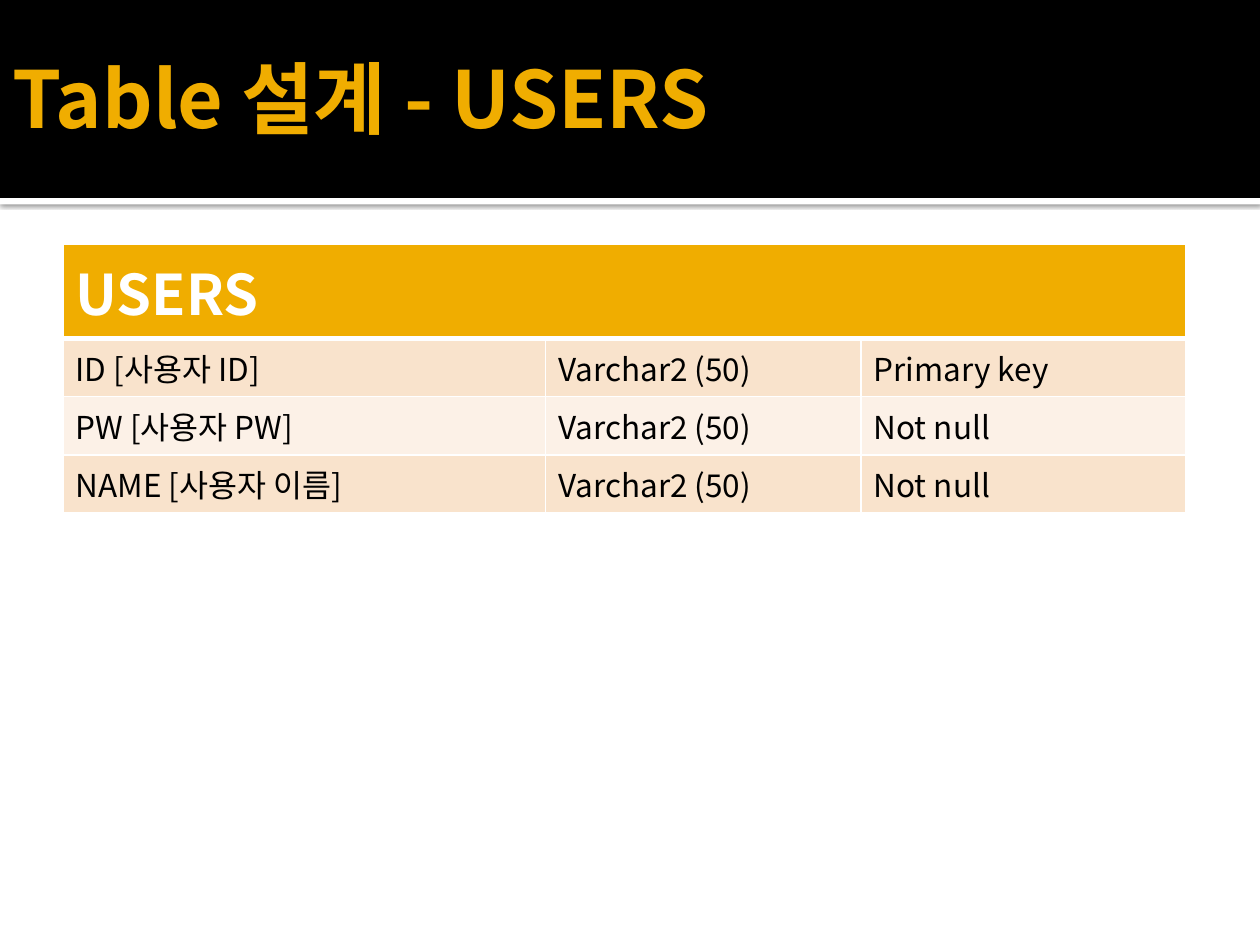
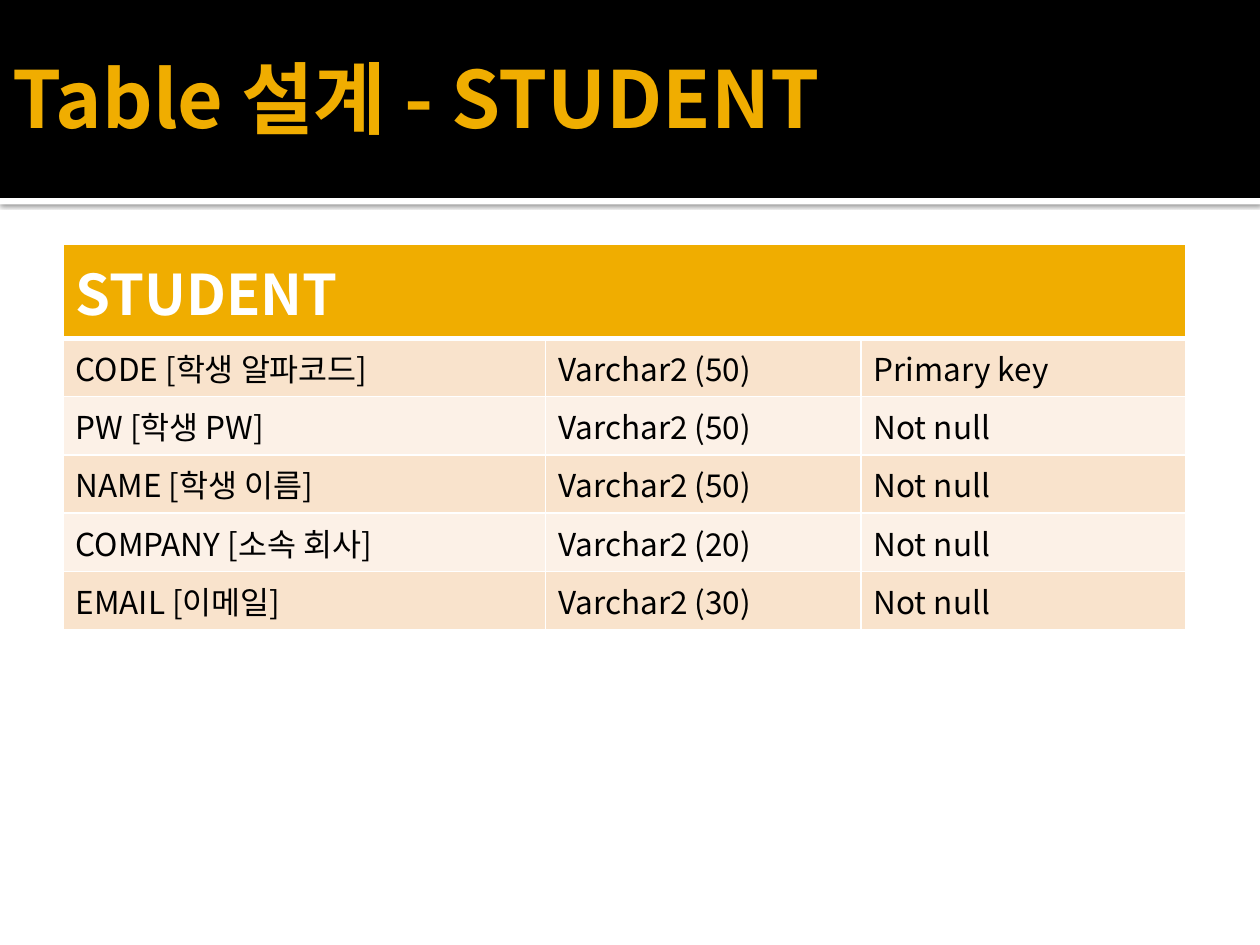
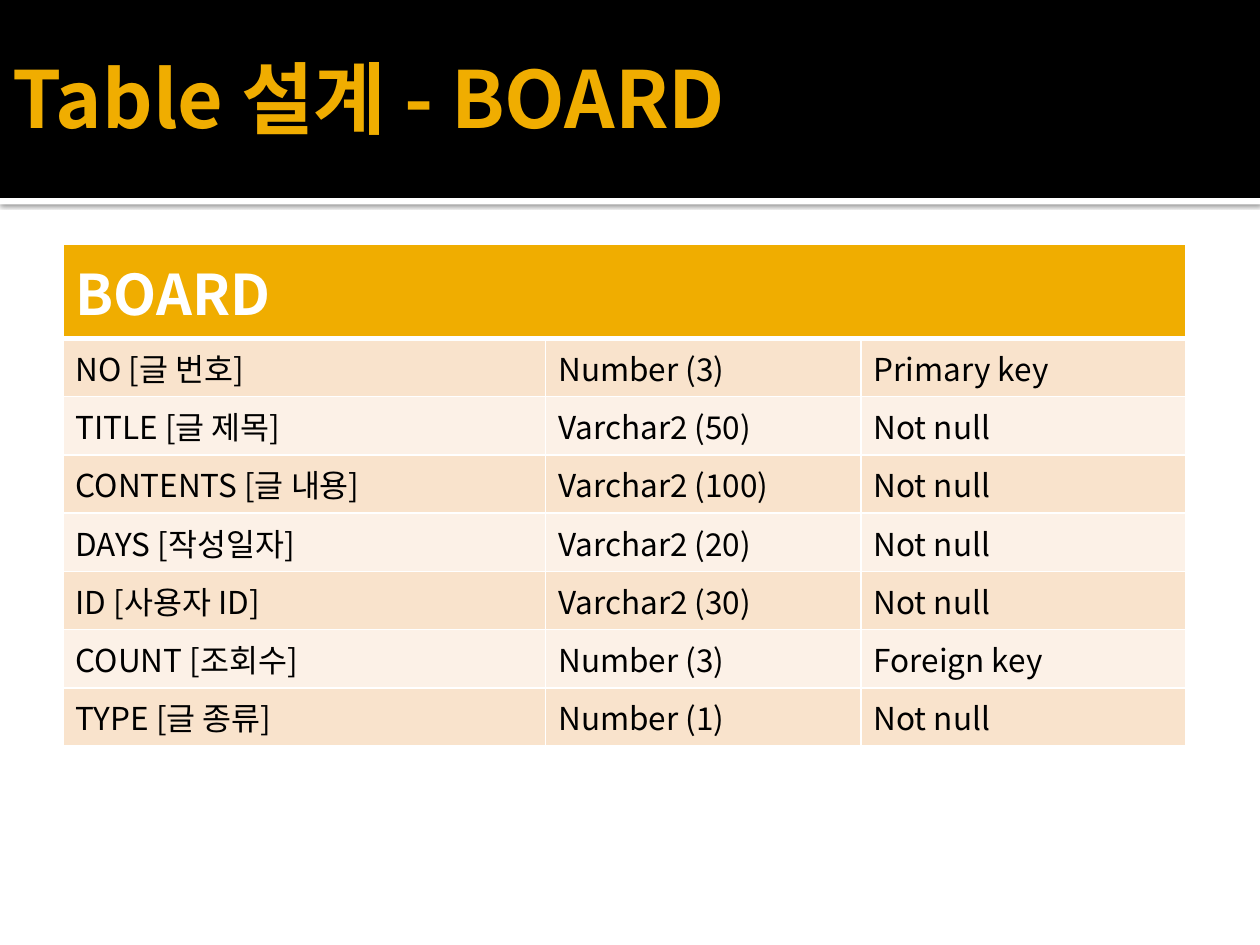
"""Build three slides that show the columns of database tables."""
from dataclasses import dataclass

from lxml.etree import SubElement as Sub
from pptx import Presentation
from pptx.dml.color import RGBColor as Rgb
from pptx.enum.shapes import MSO_SHAPE as Kind
from pptx.enum.text import MSO_ANCHOR as Anchor, MSO_AUTO_SIZE as Auto, PP_ALIGN as Align
from pptx.oxml import parse_xml
from pptx.oxml.ns import nsdecls, qn
from pptx.util import Cm, Pt

FONT = "Noto Sans CJK KR"
BLACK = Rgb(0, 0, 0)
WHITE = Rgb(255, 255, 255)
GOLD = Rgb(0xF0, 0xAD, 0x00)
PEACH = Rgb(0xF9, 0xE3, 0xCC)
CREAM = Rgb(0xFC, 0xF1, 0xE7)
WIDTHS = (9.73, 6.36, 6.54)
HEAD, ROW = 1.61, 1.03


@dataclass(frozen=True)
class Field:
    name: str
    type: str
    rule: str = "Not null"


@dataclass(frozen=True)
class Entity:
    name: str
    fields: tuple[Field, ...]


@dataclass(frozen=True)
class Band:
    top: float
    height: float
    color: Rgb
    shade: bool = False


BANDS = (Band(3.99, 0.13, WHITE, True), Band(0, 3.99, BLACK))
KEY = "Primary key"
ENTITIES = (
    Entity("USERS", (
        Field("ID [사용자 ID]", "Varchar2 (50)", KEY),
        Field("PW [사용자 PW]", "Varchar2 (50)"),
        Field("NAME [사용자 이름]", "Varchar2 (50)"),
    )),
    Entity("STUDENT", (
        Field("CODE [학생 알파코드]", "Varchar2 (50)", KEY),
        Field("PW [학생 PW]", "Varchar2 (50)"),
        Field("NAME [학생 이름]", "Varchar2 (50)"),
        Field("COMPANY [소속 회사]", "Varchar2 (20)"),
        Field("EMAIL [이메일]", "Varchar2 (30)"),
    )),
    Entity("BOARD", (
        Field("NO [글 번호]", "Number (3)", KEY),
        Field("TITLE [글 제목]", "Varchar2 (50)"),
        Field("CONTENTS [글 내용]", "Varchar2 (100)"),
        Field("DAYS [작성일자]", "Varchar2 (20)"),
        Field("ID [사용자 ID]", "Varchar2 (30)"),
        Field("COUNT [조회수]", "Number (3)", "Foreign key"),
        Field("TYPE [글 종류]", "Number (1)"),
    )),
)


def write(frame, text: str, size: float, color: Rgb, bold: bool) -> None:
    """Fill a text frame with one styled paragraph."""
    frame.text = text
    para = frame.paragraphs[0]
    para.alignment = Align.LEFT
    font = para.font
    font.name, font.size, font.bold = FONT, Pt(size), bold
    font.color.rgb = color
    east = Sub(para._p.pPr.find(qn("a:defRPr")), qn("a:ea"))
    east.set("typeface", FONT)


def add_band(slide, band: Band) -> None:
    """Draw a full-width band behind the title."""
    shape = slide.shapes.add_shape(
        Kind.RECTANGLE, 0, Cm(band.top), Cm(25.4), Cm(band.height))
    shape.fill.solid()
    shape.fill.fore_color.rgb = band.color
    shape.line.fill.background()
    shape.shadow.inherit = False
    if band.shade:
        glow = shape.element.spPr.find(qn("a:effectLst"))
        glow.append(parse_xml(
            f'<a:outerShdw {nsdecls("a")} blurRad="{Pt(2.5)}" dist="{Pt(0.8)}" '
            f'dir="5400000" algn="tl" rotWithShape="0"><a:srgbClr val="{BLACK}">'
            '<a:alpha val="60000"/></a:srgbClr></a:outerShdw>'))
    slide.shapes.title.element.addprevious(shape.element)


def add_title(slide, text: str) -> None:
    """Place and format the title."""
    title = slide.shapes.title
    title.left, title.top = Cm(0), Cm(0)
    title.width, title.height = Cm(24.13), Cm(3.91)
    frame = title.text_frame
    frame.auto_size = Auto.NONE
    frame.word_wrap = True
    frame.vertical_anchor = Anchor.MIDDLE
    frame.margin_left = Cm(0.25)
    frame.margin_top = frame.margin_right = frame.margin_bottom = Cm(0.13)
    write(frame, text, 45, GOLD, True)


def paint(cell, color: Rgb, edges: dict[str, float]) -> None:
    """Set the fill and the white borders of a cell."""
    cell.fill.solid()
    cell.fill.fore_color.rgb = color
    props = cell._tc.get_or_add_tcPr()
    for spot, (side, width) in enumerate(edges.items()):
        props.insert(spot, parse_xml(
            f'<a:ln{side} {nsdecls("a")} w="{Pt(width)}"><a:solidFill>'
            f'<a:srgbClr val="{WHITE}"/></a:solidFill></a:ln{side}>'))


def add_grid(slide, entity: Entity) -> None:
    """Draw the table of an entity, headed by its name."""
    count = len(entity.fields)
    grid = slide.shapes.add_table(
        count + 1, len(WIDTHS), Cm(1.27), Cm(4.93),
        Cm(sum(WIDTHS)), Cm(HEAD + count * ROW)).table
    for column, width in zip(grid.columns, WIDTHS):
        column.width = Cm(width)
    for index, row in enumerate(grid.rows):
        row.height = Cm(ROW if index else HEAD)
    for cell in grid.rows[0].cells:
        paint(cell, GOLD, {"L": 1, "R": 1, "T": 1, "B": 3})
    grid.cell(0, 0).merge(grid.cell(0, len(WIDTHS) - 1))
    write(grid.cell(0, 0).text_frame, entity.name, 32, WHITE, True)
    for index, field in enumerate(entity.fields, 1):
        for cell, text in zip(grid.rows[index].cells, (field.name, field.type, field.rule)):
            paint(cell, PEACH if index % 2 else CREAM, {"L": 1, "R": 1, "B": 1})
            write(cell.text_frame, text, 18, BLACK, False)


def main() -> None:
    """Build and save the slides."""
    deck = Presentation()
    deck.slide_width, deck.slide_height = Cm(25.4), Cm(19.05)
    for entity in ENTITIES:
        slide = deck.slides.add_slide(deck.slide_layouts[5])
        for band in BANDS:
            add_band(slide, band)
        add_title(slide, f"Table 설계 - {entity.name}")
        add_grid(slide, entity)
    deck.save("out.pptx")


main()
